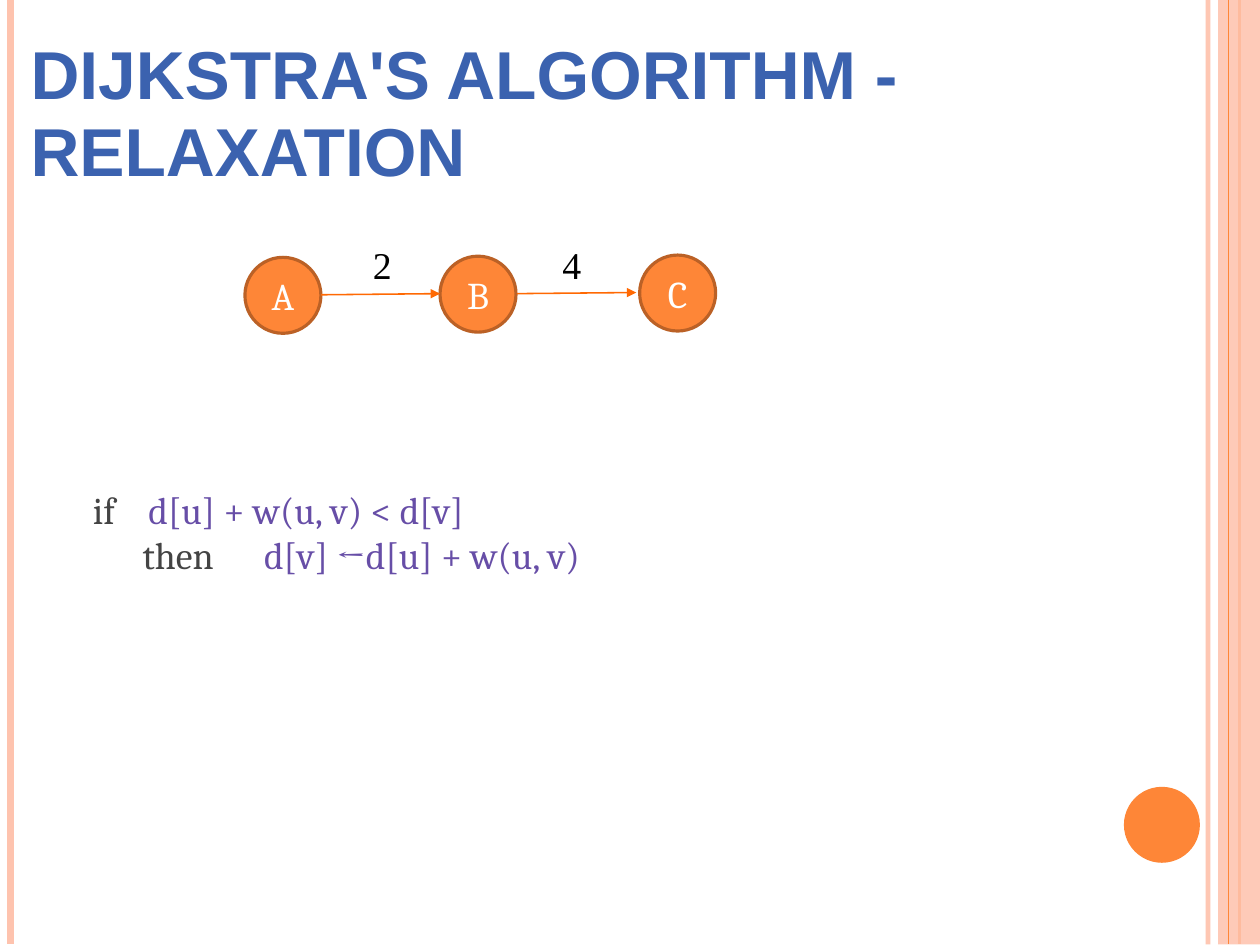
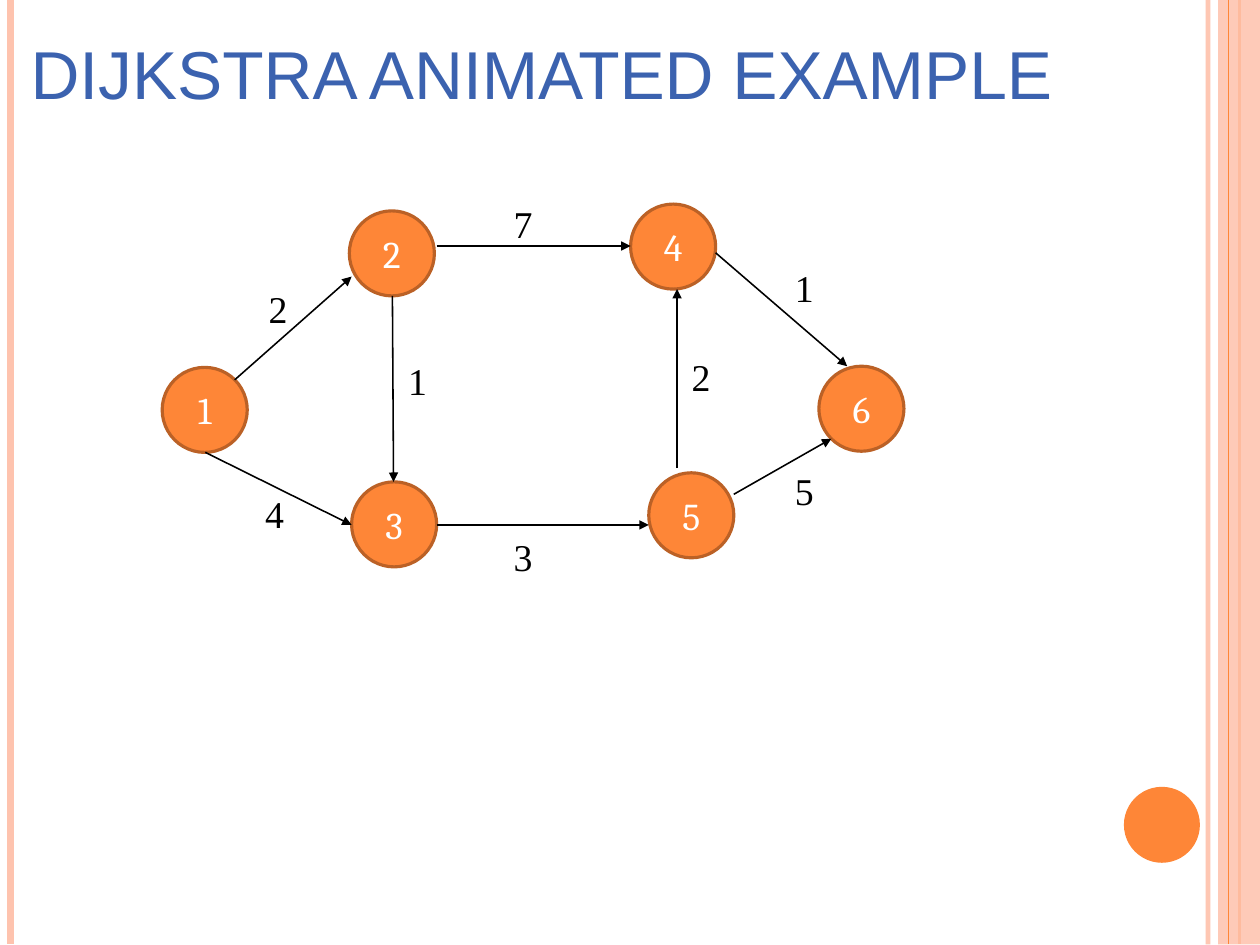
from lxml import etree
from pptx import Presentation
from pptx import util as u
from pptx.dml import color
from pptx.enum import shapes, text
from pptx.oxml import ns

SLIDE_WIDTH, SLIDE_HEIGHT = u.Emu(10158413), u.Emu(7621588)
BAND_HEIGHT = 8.33
COLORS = {
    "title": "3B62AF",
    "orange": "FE8637",
    "peach": "FEC3AE",
    "outline": "BB6126",
    "edge": "FF6903",
    "black": "000000",
    "white": "FFFFFF",
    "keyword": "444444",
    "formula": "674EA7",
}


def rgb(name):
    return color.RGBColor.from_string(COLORS[name])


def set_alpha(fill_parent, percent):
    """Make the solid fill below an element partly transparent."""
    value = fill_parent.find(ns.qn("a:solidFill"))[0]
    etree.SubElement(value, ns.qn("a:alpha")).set("val", str(percent * 1000))


class Deck:
    """Holds the style and the current slide."""

    def __init__(self):
        self.presentation = Presentation()
        self.presentation.slide_width = SLIDE_WIDTH
        self.presentation.slide_height = SLIDE_HEIGHT
        self.layout = self.presentation.slide_layouts.get_by_name("Title Only")
        self.slide = None

    def start_slide(self, title, bold=False):
        first = self.slide is None
        self.slide = self.presentation.slides.add_slide(self.layout)
        if first:
            self.decorate_layout()
        placeholder = self.slide.shapes.title
        placeholder.left, placeholder.top = u.Inches(0.27), u.Inches(0.33)
        placeholder.width, placeholder.height = u.Inches(10.57), u.Inches(1)
        frame = placeholder.text_frame
        frame.text = title
        frame.word_wrap = True
        frame.auto_size = text.MSO_AUTO_SIZE.NONE
        frame.vertical_anchor = text.MSO_ANCHOR.TOP
        frame.margin_left = frame.margin_right = 0
        frame.margin_top = frame.margin_bottom = 0
        paragraph = frame.paragraphs[0]
        paragraph.alignment = text.PP_ALIGN.LEFT
        paragraph.line_spacing = 0.95
        self.style(paragraph, "Arial", 43, "title", bold)

    def decorate_layout(self):
        """Draw the side bands and the disc, then hand them to the layout."""
        band = self.shape("RECTANGLE", 10.74, 0, 0.37, BAND_HEIGHT, "peach")
        set_alpha(band.element.spPr, 87)
        inner = self.vertical_rule(10.65, "peach", 3)
        set_alpha(inner.element.spPr.find(ns.qn("a:ln")), 93)
        parts = [
            inner,
            self.vertical_rule(0.09, "peach", 4.5),
            self.vertical_rule(10.93, "orange", 1.5),
            band,
            self.vertical_rule(10.83, "orange", 0.75),
            self.shape("OVAL", 9.91, 6.94, 0.67, 0.67, "orange"),
        ]
        for number, part in enumerate(parts, start=101):
            part.element.xpath(".//p:cNvPr")[0].set("id", str(number))
            self.layout.shapes.element.append(part.element)

    def style(self, paragraph, font_name, size, color_name, bold=False):
        font = paragraph.font
        font.name, font.size, font.bold = font_name, u.Pt(size), bold
        font.color.rgb = rgb(color_name)

    def shape(self, kind, left, top, width, height, fill):
        shape = self.slide.shapes.add_shape(
            shapes.MSO_SHAPE[kind], u.Inches(left), u.Inches(top),
            u.Inches(width), u.Inches(height))
        shape.shadow.inherit = False
        shape.fill.solid()
        shape.fill.fore_color.rgb = rgb(fill)
        shape.line.fill.background()
        return shape

    def line(self, start, end, color_name, width):
        connector = self.slide.shapes.add_connector(
            shapes.MSO_CONNECTOR.STRAIGHT,
            *(u.Inches(value) for value in (*start, *end)))
        connector.line.color.rgb = rgb(color_name)
        connector.line.width = u.Pt(width)
        etree.SubElement(connector.element.spPr, ns.qn("a:effectLst"))
        return connector

    def vertical_rule(self, x, color_name, width):
        return self.line((x, 0), (x, BAND_HEIGHT), color_name, width)

    def arrow(self, start, end, color_name="black"):
        connector = self.line(start, end, color_name, 1)
        outline = connector.element.spPr.find(ns.qn("a:ln"))
        etree.SubElement(outline, ns.qn("a:tailEnd")).set("type", "triangle")

    def node(self, name, left, top, size):
        shape = self.shape("OVAL", left, top, size, size, "orange")
        shape.line.color.rgb = rgb("outline")
        shape.line.width = u.Pt(2)
        frame = shape.text_frame
        frame.text = name
        frame.vertical_anchor = text.MSO_ANCHOR.MIDDLE
        paragraph = frame.paragraphs[0]
        paragraph.alignment = text.PP_ALIGN.CENTER
        self.style(paragraph, "Cambria", 24, "white")

    def text_frame(self, left, top, width, height, wrap):
        box = self.slide.shapes.add_textbox(
            u.Inches(left), u.Inches(top), u.Inches(width), u.Inches(height))
        box.text_frame.word_wrap = wrap
        return box.text_frame

    def weight(self, value, left, top):
        frame = self.text_frame(left, top, 0.36, 0.5, wrap=False)
        frame.text = value
        self.style(frame.paragraphs[0], "Times New Roman", 24, "black")

    def pseudocode(self, left, top, width, height, lines):
        """Each line is keyword, keyword indent, formula indent, formula."""
        frame = self.text_frame(left, top, width, height, wrap=True)
        for index, (keyword, start, hang, formula) in enumerate(lines):
            paragraph = frame.add_paragraph() if index else frame.paragraphs[0]
            properties = paragraph._p.get_or_add_pPr()
            properties.set("marL", str(u.Inches(hang)))
            properties.set("indent", str(u.Inches(start - hang)))
            self.style(paragraph, "Cambria", 24, "keyword")
            paragraph.add_run().text = keyword + "\t"
            run = paragraph.add_run()
            run.text = formula
            run.font.color.rgb = rgb("formula")


def relaxation_slide(deck):
    deck.start_slide("DIJKSTRA'S ALGORITHM - RELAXATION", bold=True)
    for name, left, top in [("A", 2.16, 2.27), ("B", 3.88, 2.26), ("C", 5.64, 2.25)]:
        deck.node(name, left, top, 0.67)
    for value, start, end, label_left in [
        ("2", (2.83, 2.6), (3.88, 2.59), 3.19),
        ("4", (4.56, 2.59), (5.61, 2.58), 4.86),
    ]:
        deck.arrow(start, end, "edge")
        deck.weight(value, label_left, 2.08)
    deck.pseudocode(0.72, 4.24, 6.78, 0.9, [
        ("if", 0, 0.49, "d[u] + w(u, v) < d[v]"),
        ("then", 0.44, 1.51, "d[v] ←d[u] + w(u, v)"),
    ])


def example_slide(deck):
    deck.start_slide("DIJKSTRA ANIMATED EXAMPLE")
    for name, left, top in [
        ("1", 1.43, 3.24), ("2", 3.08, 1.86), ("3", 3.1, 4.25),
        ("4", 5.56, 1.8), ("5", 5.72, 4.17), ("6", 7.22, 3.23),
    ]:
        deck.node(name, left, top, 0.75)
    # Edges: weight, start, end, label position
    for value, start, end, label in [
        ("2", (2.07, 3.35), (3.1, 2.44), (2.27, 2.47)),
        ("4", (1.81, 3.99), (3.1, 4.63), (2.24, 4.28)),
        ("7", (3.85, 2.17), (5.56, 2.17), (4.43, 1.72)),
        ("3", (3.85, 4.63), (5.72, 4.63), (4.43, 4.66)),
        ("5", (6.47, 4.36), (7.33, 3.87), (6.91, 4.08)),
        ("1", (6.31, 2.23), (7.47, 3.23), (6.91, 2.29)),
        ("2", (5.97, 4.13), (5.97, 2.55), (6, 3.07)),
        ("1", (3.46, 2.61), (3.47, 4.25), (3.5, 3.11)),
    ]:
        deck.arrow(start, end)
        deck.weight(value, *label)


def main():
    deck = Deck()
    relaxation_slide(deck)
    example_slide(deck)
    deck.presentation.save("out.pptx")


if __name__ == "__main__":
    main()
